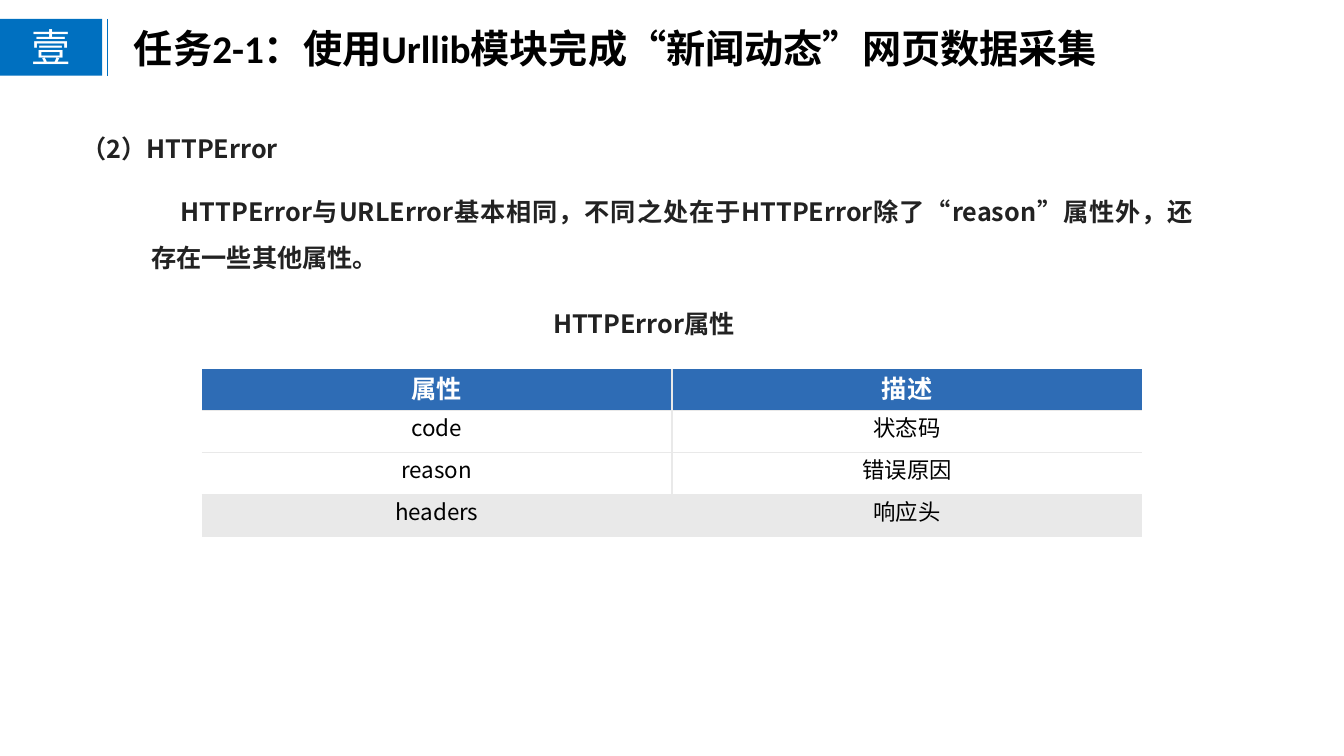
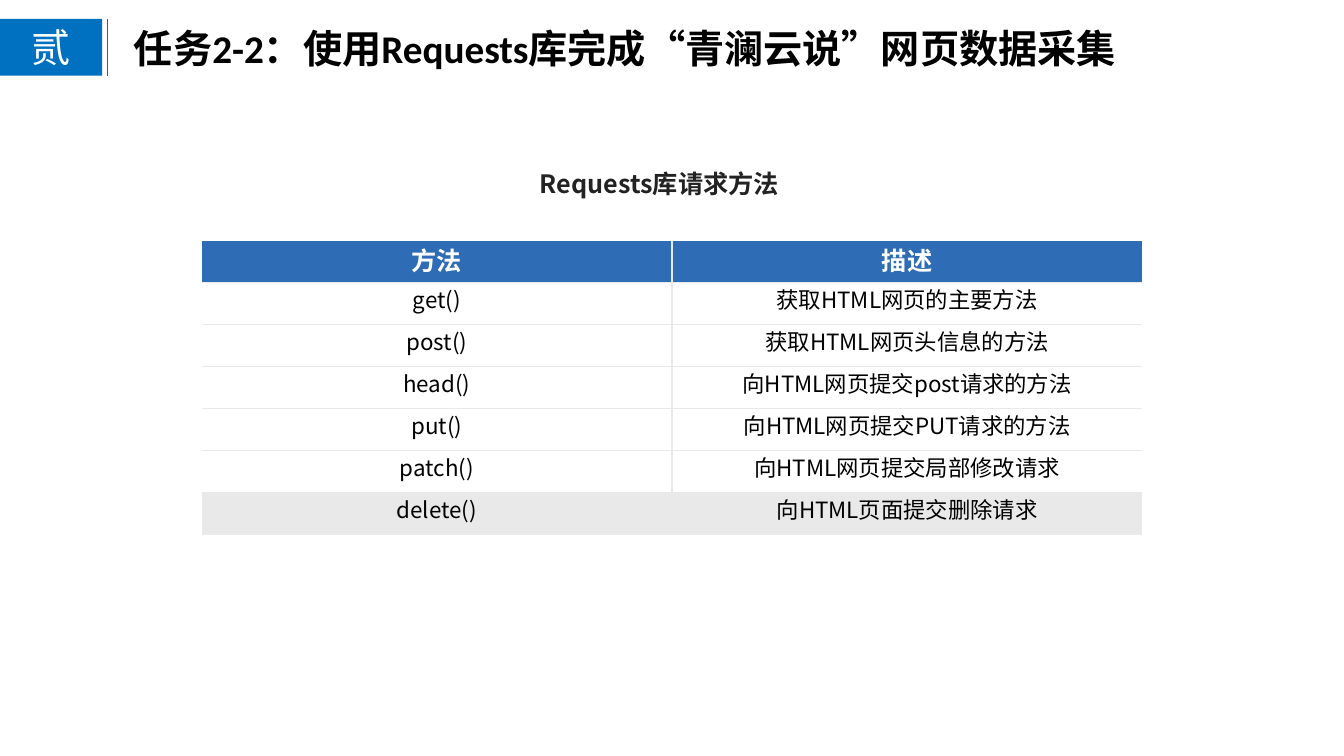
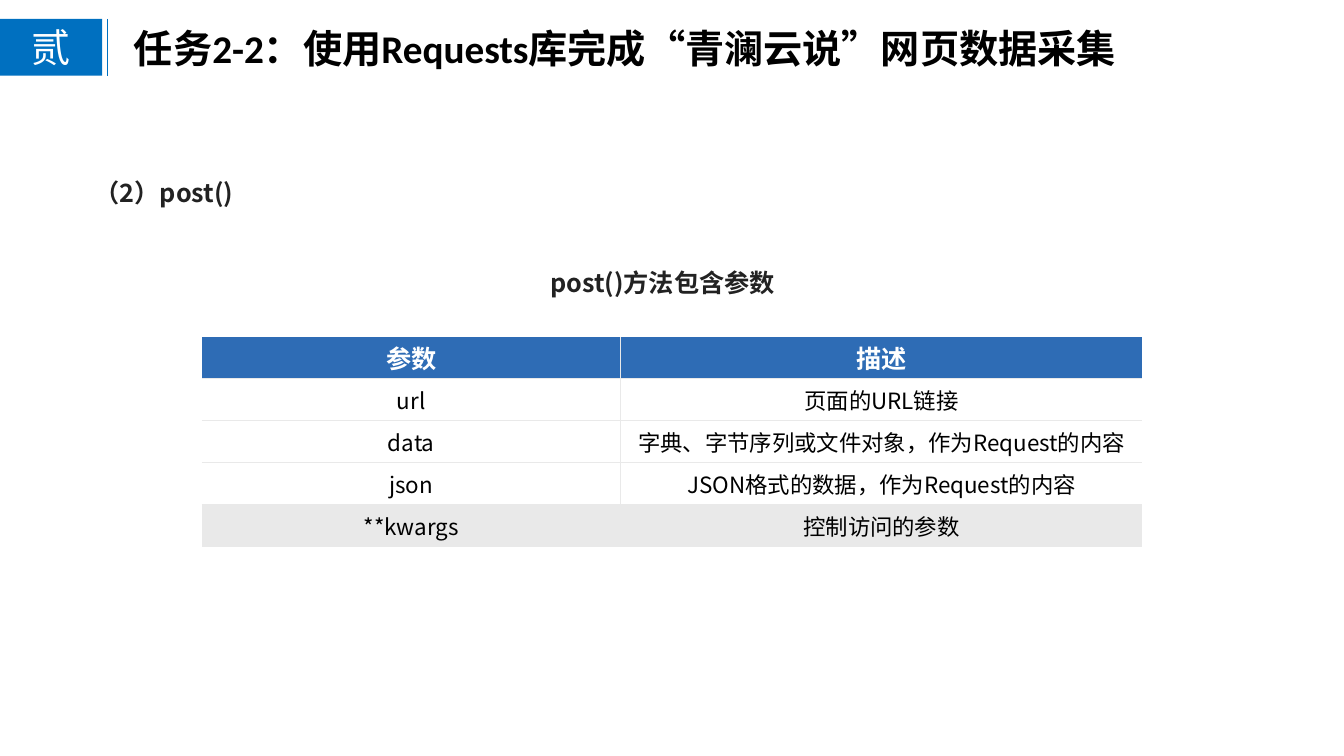
"""Build three slides on Python web scraping, each with a titled table."""

from dataclasses import dataclass

import lxml.etree
import pptx
import pptx.dml.color
import pptx.enum.shapes
import pptx.enum.text
import pptx.oxml.ns
import pptx.slide
import pptx.table
import pptx.text.text
import pptx.util

Pt = pptx.util.Pt
Color = pptx.dml.color.RGBColor
Align = pptx.enum.text.PP_ALIGN
Anchor = pptx.enum.text.MSO_ANCHOR
qn = pptx.oxml.ns.qn

BLUE = Color(0x00, 0x70, 0xC0)
HEAD = Color(0x2E, 0x6C, 0xB5)
GRAY = Color(0xE9, 0xE9, 0xE9)
INK = Color(0x22, 0x22, 0x22)
BLACK = Color(0, 0, 0)
WHITE = Color(0xFF, 0xFF, 0xFF)
SANS = "Noto Sans CJK SC"
LATIN = "Calibri"

BAND_TOP = 13.5
BAND_TALL = 40.5
ROW_TALL = 30
TABLE_LEFT = 144


@dataclass(frozen=True)
class Note:
    text: str
    left: float
    top: float
    width: float
    height: float
    space: float = 1.0
    indent: float = 0


@dataclass(frozen=True)
class Grid:
    top: float
    cols: tuple[float, ...]
    rows: tuple[tuple[str, ...], ...]
    anchor: Anchor = Anchor.TOP


@dataclass(frozen=True)
class Page:
    mark: str
    title: str
    width: float
    notes: tuple[Note, ...]
    grid: Grid


TASK_TWO = "任务2-2：使用Requests库完成“青澜云说”网页数据采集"

PAGES = (
    Page(
        "壹", "任务2-1：使用Urllib模块完成“新闻动态”网页数据采集", 711.5,
        (
            Note("（2）HTTPError", 51, 92, 400, 29),
            Note("HTTPError与URLError基本相同，不同之处在于HTTPError除了“reason”属性外，"
                 "还存在一些其他属性。", 101, 126, 758, 73, 1.5, 21),
            Note("HTTPError属性", 388, 217, 184, 29),
        ),
        Grid(263.5, (336, 336), (
            ("属性", "描述"),
            ("code", "状态码"),
            ("reason", "错误原因"),
            ("headers", "响应头"),
        )),
    ),
    Page(
        "贰", TASK_TWO, 800,
        (Note("Requests库请求方法", 378.5, 106, 202, 40, 1.5),),
        Grid(172, (336, 336), (
            ("方法", "描述"),
            ("get()", "获取HTML网页的主要方法"),
            ("post()", "获取HTML网页头信息的方法"),
            ("head()", "向HTML网页提交post请求的方法"),
            ("put()", "向HTML网页提交PUT请求的方法"),
            ("patch()", "向HTML网页提交局部修改请求"),
            ("delete()", "向HTML页面提交删除请求"),
        )),
    ),
    Page(
        "贰", TASK_TWO, 800,
        (
            Note("（2）post()", 60.5, 112.5, 400, 40, 1.5),
            Note("post()方法包含参数", 386, 176.5, 189, 40, 1.5),
        ),
        Grid(240.5, (299.5, 372.5), (
            ("参数", "描述"),
            ("url", "页面的URL链接"),
            ("data", "字典、字节序列或文件对象，作为Request的内容"),
            ("json", "JSON格式的数据，作为Request的内容"),
            ("**kwargs", "控制访问的参数"),
        ), Anchor.MIDDLE),
    ),
)


def style(para: pptx.text.text._Paragraph, size: float, color: Color,
          bold: bool = False, face: str = SANS) -> None:
    font = para.font
    font.size = Pt(size)
    font.bold = bold
    font.color.rgb = color
    font.name = face
    props = para._p.pPr.find(qn("a:defRPr"))
    lxml.etree.SubElement(props, qn("a:ea"), typeface=SANS)


def draw_title(slide: pptx.slide.Slide, page: Page) -> None:
    title = slide.shapes.title
    title.left, title.top = Pt(88.5), Pt(BAND_TOP)
    title.width, title.height = Pt(page.width), Pt(41)
    frame = title.text_frame
    frame.text = page.title
    frame.word_wrap = True
    frame.auto_size = pptx.enum.text.MSO_AUTO_SIZE.NONE
    frame.vertical_anchor = Anchor.TOP
    para = frame.paragraphs[0]
    para.alignment = Align.LEFT
    style(para, 28, BLACK, True, LATIN)


def draw_mark(slide: pptx.slide.Slide, text: str) -> None:
    box = slide.shapes.add_shape(
        pptx.enum.shapes.MSO_SHAPE.RECTANGLE,
        Pt(0), Pt(BAND_TOP), Pt(73), Pt(BAND_TALL))
    box.shadow.inherit = False
    box.fill.solid()
    box.fill.fore_color.rgb = BLUE
    box.line.fill.background()
    frame = box.text_frame
    frame.margin_left = frame.margin_right = Pt(2)
    frame.margin_top = frame.margin_bottom = Pt(2)
    frame.vertical_anchor = Anchor.MIDDLE
    frame.text = text
    para = frame.paragraphs[0]
    para.alignment = Align.CENTER
    style(para, 28, WHITE)

    rule = slide.shapes.add_connector(
        pptx.enum.shapes.MSO_CONNECTOR.STRAIGHT,
        Pt(77), Pt(BAND_TOP), Pt(77), Pt(BAND_TOP + BAND_TALL))
    rule.line.color.rgb = BLUE
    rule.line.width = Pt(1)
    lxml.etree.SubElement(rule._element.spPr, qn("a:effectLst"))


def draw_note(slide: pptx.slide.Slide, note: Note) -> None:
    box = slide.shapes.add_textbox(
        Pt(note.left), Pt(note.top), Pt(note.width), Pt(note.height))
    frame = box.text_frame
    frame.word_wrap = True
    frame.text = note.text
    para = frame.paragraphs[0]
    para.line_spacing = note.space
    para.alignment = Align.JUSTIFY if note.space > 1 else Align.LEFT
    if note.indent:
        para._p.get_or_add_pPr().set("indent", str(Pt(note.indent)))
    style(para, 18, INK, True)


def edge(cell: pptx.table._Cell, side: str, shown: bool) -> None:
    props = cell._tc.get_or_add_tcPr()
    line = lxml.etree.SubElement(props, qn(f"a:ln{side}"), w=str(Pt(1)))
    if shown:
        fill = lxml.etree.SubElement(line, qn("a:solidFill"))
        lxml.etree.SubElement(fill, qn("a:srgbClr"), val=str(GRAY))
    else:
        lxml.etree.SubElement(line, qn("a:noFill"))


def draw_grid(slide: pptx.slide.Slide, grid: Grid) -> None:
    count, wide = len(grid.rows), len(grid.cols)
    table = slide.shapes.add_table(
        count, wide, Pt(TABLE_LEFT), Pt(grid.top),
        Pt(sum(grid.cols)), Pt(ROW_TALL * count)).table
    table.first_row = table.horz_banding = False
    for col, width in zip(table.columns, grid.cols):
        col.width = Pt(width)
    for r, texts in enumerate(grid.rows):
        top, last = r == 0, r == count - 1
        for c, text in enumerate(texts):
            cell = table.cell(r, c)
            edge(cell, "L", c > 0)
            edge(cell, "R", c < wide - 1)
            edge(cell, "T", not top)
            edge(cell, "B", not last)
            cell.fill.solid()
            cell.fill.fore_color.rgb = HEAD if top else GRAY if last else WHITE
            cell.margin_left = cell.margin_right = Pt(5)
            cell.margin_top = cell.margin_bottom = Pt(0)
            cell.vertical_anchor = grid.anchor
            cell.text = text
            para = cell.text_frame.paragraphs[0]
            para.alignment = Align.CENTER
            style(para, 18 if top else 16, WHITE if top else BLACK, top)


def main() -> None:
    deck = pptx.Presentation()
    deck.slide_width, deck.slide_height = Pt(960), Pt(540)
    for page in PAGES:
        slide = deck.slides.add_slide(deck.slide_layouts[5])
        draw_title(slide, page)
        draw_mark(slide, page.mark)
        for note in page.notes:
            draw_note(slide, note)
        draw_grid(slide, page.grid)
    deck.save("out.pptx")


if __name__ == "__main__":
    main()
